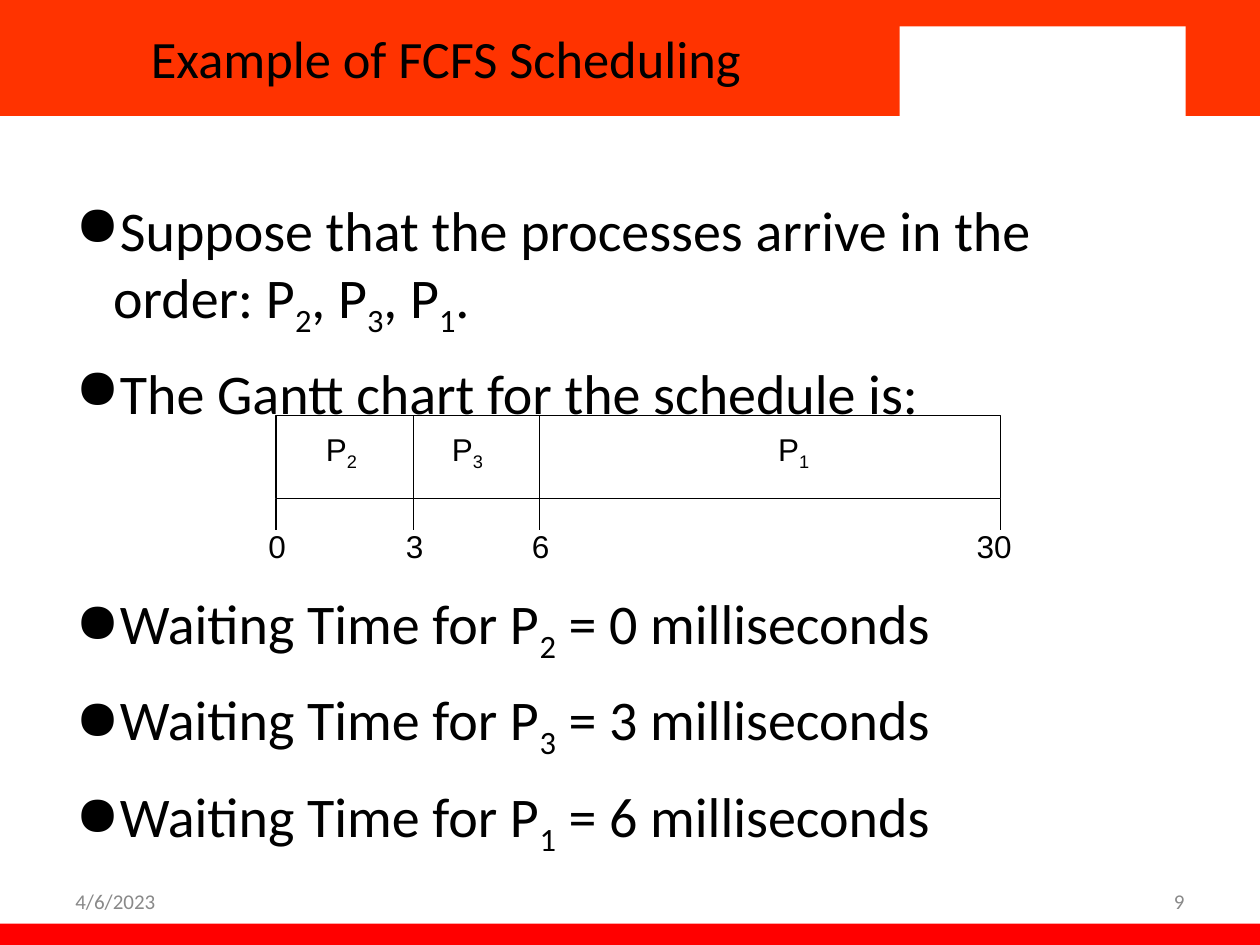
"""Build the FCFS scheduling example slide."""
import pptx
import pptx.dml.color
import pptx.enum.shapes
import pptx.enum.text
import pptx.oxml
import pptx.oxml.ns
import pptx.util
from pptx.util import Inches

COLORS = {"band": "FF3300", "footer": "FF0000", "white": "FFFFFF",
          "black": "000000", "grey": "898989"}
ALIGN = pptx.enum.text.PP_ALIGN
MIDDLE = pptx.enum.text.MSO_ANCHOR.MIDDLE


def rgb(name):
    return pptx.dml.color.RGBColor.from_string(COLORS[name])


def add_box(s, x, y, w, h, fill, line=None):
    kind = pptx.enum.shapes.MSO_SHAPE.RECTANGLE
    sp = s.shapes.add_shape(kind, Inches(x), Inches(y), Inches(w), Inches(h))
    sp.shadow.inherit = False
    sp.fill.solid()
    sp.fill.fore_color.rgb = rgb(fill)
    if line:
        sp.line.color.rgb = rgb(line)
        sp.line.width = pptx.util.Pt(0.75)
    else:
        sp.line.fill.background()


def add_line(s, x, top, bottom):
    kind = pptx.enum.shapes.MSO_CONNECTOR.STRAIGHT
    c = s.shapes.add_connector(kind, Inches(x), Inches(top), Inches(x), Inches(bottom))
    c.line.color.rgb = rgb("black")
    c.line.width = pptx.util.Pt(0.75)
    c.element.spPr.append(pptx.oxml.parse_xml(
        f"<a:effectLst {pptx.oxml.ns.nsdecls('a')}/>"))


def write(p, text, size, font="Calibri", color="black"):
    """Write text whose parts between underscores are subscripts."""
    for i, part in enumerate(text.split("_")):
        if not part:
            continue
        r = p.add_run()
        r.text = part
        r.font.size = pptx.util.Pt(size)
        r.font.name = font
        r.font.color.rgb = rgb(color)
        if i % 2:
            r.font._element.set("baseline", "-25000")


def add_text(s, x, y, w, h, text, size, font="Calibri", color="black",
             align=ALIGN.LEFT, wrap=True):
    tf = s.shapes.add_textbox(Inches(x), Inches(y), Inches(w), Inches(h)).text_frame
    tf.word_wrap = wrap
    tf.vertical_anchor = MIDDLE
    p = tf.paragraphs[0]
    p.alignment = align
    write(p, text, size, font, color)


def add_bullets(s, y, h, items):
    tf = s.shapes.add_textbox(Inches(0.5), Inches(y), Inches(9), Inches(h)).text_frame
    tf.word_wrap = True
    for i, item in enumerate(items):
        p = tf.add_paragraph() if i else tf.paragraphs[0]
        p.space_before = pptx.util.Pt(11.4 if i else 0)
        pPr = p._p.get_or_add_pPr()
        pPr.set("marL", str(Inches(0.3)))
        pPr.set("indent", str(-Inches(0.3)))
        pPr.append(pptx.oxml.parse_xml(
            f'<a:buChar {pptx.oxml.ns.nsdecls("a")} char="●"/>'))
        write(p, item, 32)


def add_title(s, text):
    title = s.shapes.title
    s.shapes.element.append(title.element)
    title.left, title.top = Inches(0), Inches(0)
    title.width, title.height = Inches(7.08), Inches(0.92)
    tf = title.text_frame
    tf.vertical_anchor = MIDDLE
    p = tf.paragraphs[0]
    p.alignment = ALIGN.CENTER
    write(p, text, 30)


def add_gantt(s):
    left, right, top, bottom = 2.19, 7.94, 3.3, 3.96
    add_box(s, left, top, right - left, bottom - top, "white", "black")
    for x in (3.28, 4.28):
        add_line(s, x, top, bottom)
    for x in (left, 3.28, 4.28, right):
        add_line(s, x, bottom, 4.21)
    labels = [("P_2", 2.71, 3.38), ("P_3", 3.71, 3.38), ("P_1", 6.3, 3.38),
              ("0", 2.2, 4.13), ("3", 3.29, 4.13), ("6", 4.29, 4.13),
              ("30", 7.89, 4.13)]
    for text, center, y in labels:
        add_text(s, center - 0.24, y, 0.48, 0.4, text, 18, "Arial",
                 align=ALIGN.CENTER, wrap=False)


def main():
    prs = pptx.Presentation()
    prs.slide_width, prs.slide_height = Inches(10), Inches(7.5)
    s = prs.slides.add_slide(prs.slide_layouts[5])
    add_box(s, 0, 0, 10, 0.92, "band")
    add_box(s, 0, 7.33, 10, 0.17, "footer")
    add_box(s, 7.14, 0.21, 2.27, 0.75, "white")
    add_title(s, "Example of FCFS Scheduling")
    add_bullets(s, 1.5, 1.9, [
        "Suppose that the processes arrive in the order: P_2_, P_3_, P_1_.",
        "The Gantt chart for the schedule is:"])
    add_bullets(s, 4.62, 2.1, [
        f"Waiting Time for P_{process}_ = {time} milliseconds"
        for process, time in ((2, 0), (3, 3), (1, 6))])
    add_text(s, 0.5, 6.95, 2.33, 0.4, "4/6/2023", 12, color="grey")
    add_text(s, 7.17, 6.95, 2.33, 0.4, "9", 12, color="grey", align=ALIGN.RIGHT)
    add_gantt(s)
    prs.save("out.pptx")


if __name__ == "__main__":
    main()
